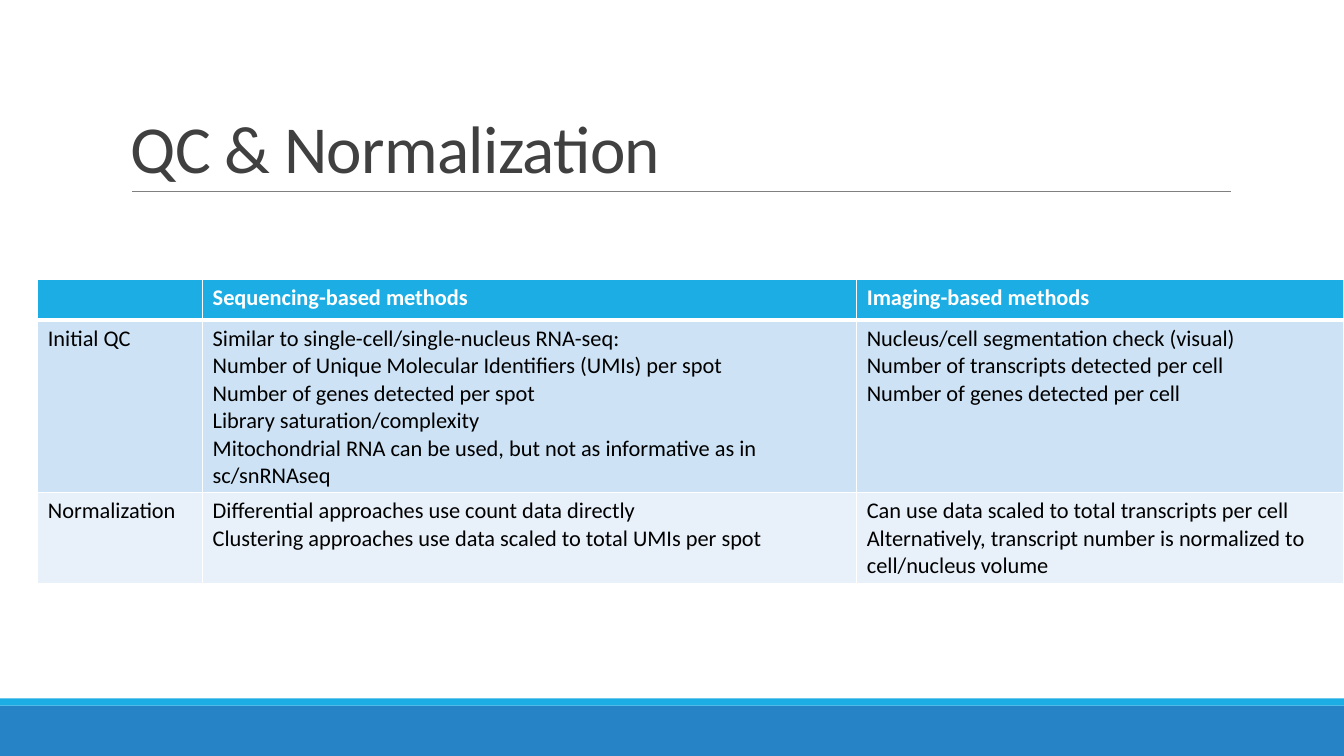
from lxml import etree
from pptx import Presentation
from pptx.dml.color import RGBColor
from pptx.enum.shapes import MSO_CONNECTOR, MSO_SHAPE
from pptx.enum.text import MSO_ANCHOR
from pptx.oxml.ns import qn
from pptx.util import Emu, Pt

RECT = MSO_SHAPE.RECTANGLE
STRAIGHT = MSO_CONNECTOR.STRAIGHT
BOTTOM = MSO_ANCHOR.BOTTOM

COLORS = {
    "title": "404040",
    "rule": "808080",
    "text": "000000",
    "white": "FFFFFF",
    "accent": "1CADE4",
    "footer": "2683C6",
    "band": "CDE3F5",
    "band_light": "E8F1FA",
}
FORMATS = {
    "title": {"name": "Calibri", "size": Pt(48), "bold": False},
    "header": {"name": "Calibri", "size": Pt(16), "bold": True},
    "body": {"name": "Calibri", "size": Pt(16), "bold": False},
}
ROW_STYLES = [
    ("header", "white", "accent"),
    ("body", "text", "band"),
    ("body", "text", "band_light"),
]
ROWS = [
    [
        [],
        ["Sequencing-based methods"],
        ["Imaging-based methods"],
    ],
    [
        ["Initial QC"],
        [
            "Similar to single-cell/single-nucleus RNA-seq:",
            "Number of Unique Molecular Identifiers (UMIs) per spot",
            "Number of genes detected per spot",
            "Library saturation/complexity",
            "Mitochondrial RNA can be used, but not as informative as in sc/snRNAseq",
        ],
        [
            "Nucleus/cell segmentation check (visual)",
            "Number of transcripts detected per cell",
            "Number of genes detected per cell",
        ],
    ],
    [
        ["Normalization"],
        [
            "Differential approaches use count data directly",
            "Clustering approaches use data scaled to total UMIs per spot",
        ],
        [
            "Can use data scaled to total transcripts per cell",
            "Alternatively, transcript number is normalized to cell/nucleus volume",
        ],
    ],
]


def px(n):
    return Emu(n * 9525)


def rgb(name):
    return RGBColor.from_string(COLORS[name])


class Deck:
    def __init__(self, width, height):
        self.prs = Presentation()
        self.prs.slide_width = px(width)
        self.prs.slide_height = px(height)
        self.s = self.prs.slides.add_slide(self.prs.slide_layouts[6])

    def style(self, font, fmt, color):
        for key, value in FORMATS[fmt].items():
            setattr(font, key, value)
        font.color.rgb = rgb(color)

    def bar(self, x, y, w, h, color):
        sp = self.s.shapes.add_shape(RECT, px(x), px(y), px(w), px(h))
        sp.shadow.inherit = False
        sp.fill.solid()
        sp.fill.fore_color.rgb = rgb(color)
        sp.line.fill.background()

    def rule(self, x1, y1, x2, y2, color, width):
        ln = self.s.shapes.add_connector(STRAIGHT, px(x1), px(y1), px(x2), px(y2))
        ln.line.color.rgb = rgb(color)
        ln.line.width = Pt(width)
        etree.SubElement(ln._element.spPr, qn("a:effectLst"))

    def title(self, x, y, w, h, text):
        tf = self.s.shapes.add_textbox(px(x), px(y), px(w), px(h)).text_frame
        tf.word_wrap = True
        tf.vertical_anchor = BOTTOM
        p = tf.paragraphs[0]
        p.line_spacing = 0.85
        r = p.add_run()
        r.text = text
        self.style(r.font, "title", "title")
        r.font._element.set("spc", "-50")

    def border(self, cell, side, width):
        tc_pr = cell._tc.get_or_add_tcPr()
        ln = etree.SubElement(tc_pr, qn(f"a:ln{side}"), w=str(Pt(width)))
        fill = etree.SubElement(ln, qn("a:solidFill"))
        etree.SubElement(fill, qn("a:srgbClr"), val=COLORS["white"])

    def cell(self, cell, lines, fmt, color, fill, borders):
        for side, width in borders.items():
            self.border(cell, side, width)
        cell.fill.solid()
        cell.fill.fore_color.rgb = rgb(fill)
        cell.text = "\n".join(lines)
        for p in cell.text_frame.paragraphs:
            self.style(p.font, fmt, color)
            for r in p.runs:
                self.style(r.font, fmt, color)

    def table(self, x, y, widths, heights, rows):
        frame = self.s.shapes.add_table(
            len(heights), len(widths), px(x), px(y), px(sum(widths)), px(sum(heights))
        )
        tbl = frame.table
        for column, width in zip(tbl.columns, widths):
            column.width = px(width)
        for i, (height, row, styles) in enumerate(zip(heights, rows, ROW_STYLES)):
            tbl.rows[i].height = px(height)
            borders = {"L": 1, "R": 1, "T": 3 if i == 1 else 1, "B": 3 if i == 0 else 1}
            for j, lines in enumerate(row):
                self.cell(tbl.cell(i, j), lines, *styles, borders)


def main():
    deck = Deck(1280, 720)
    deck.bar(0, 672, 1280, 48, "footer")
    deck.bar(0, 665, 1280, 7, "accent")
    deck.rule(126, 182, 1172, 182, "rule", 0.5)
    deck.title(115, 30, 1056, 153, "QC & Normalization")
    deck.table(36, 266, [157, 623, 464], [39, 164, 86], ROWS)
    deck.prs.save("out.pptx")


if __name__ == "__main__":
    main()
